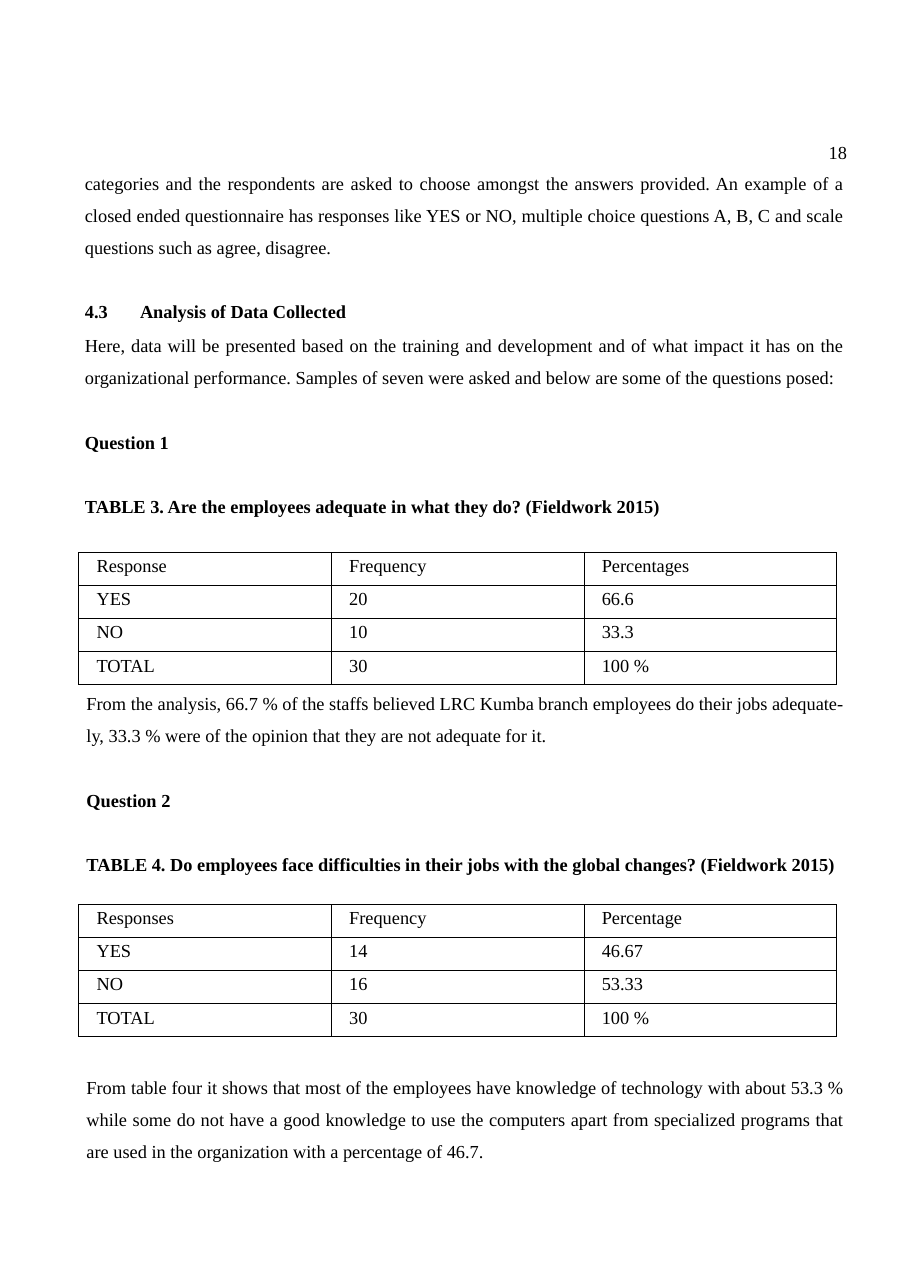
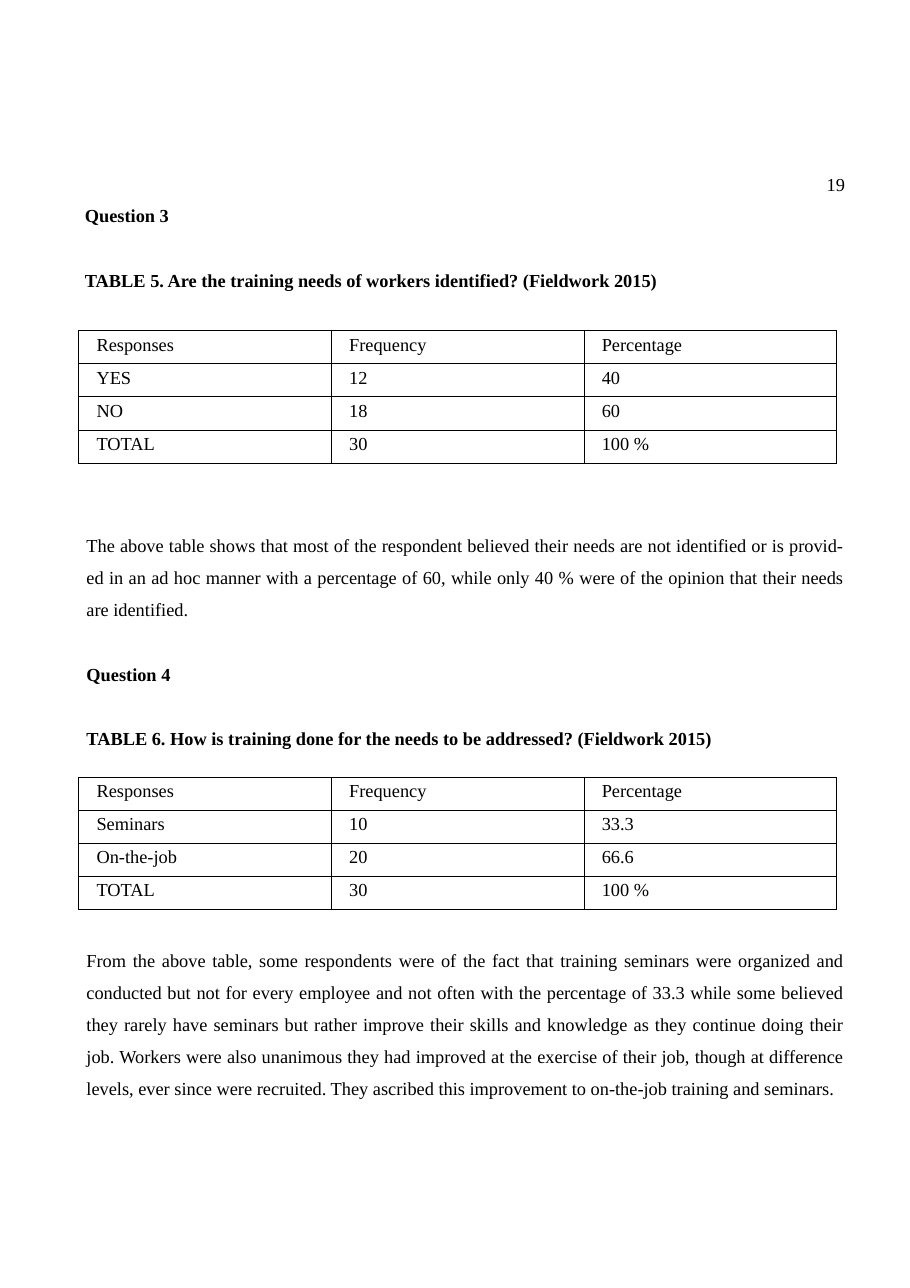
from dataclasses import dataclass

from lxml.etree import SubElement
from pptx import Presentation
from pptx.dml.color import RGBColor
from pptx.enum.text import MSO_ANCHOR, MSO_AUTO_SIZE, PP_ALIGN
from pptx.oxml.ns import qn
from pptx.util import Pt


@dataclass(frozen=True)
class Theme:
    """Colours, type and measures shared by every page, in points."""
    ink: RGBColor = RGBColor(0, 0, 0)
    paper: RGBColor = RGBColor(255, 255, 255)
    font: str = "Times New Roman"
    size: float = 12
    line: float = 20.8
    number_line: float = 13.8
    block_gap: float = 21.5
    left: float = 55.5
    right: float = 552.2
    indent: float = 1
    heading_tab: float = 29.5
    table_left: float = 51.3
    column: float = 165.1
    row: float = 21.6
    cell_left: float = 11.8
    cell_top: float = 2.7
    border: float = 0.28


class Report:
    """Holds the style and the current page."""

    def __init__(self, theme):
        self.theme = theme
        self.deck = Presentation()
        self.deck.slide_width = Pt(594.72)
        self.deck.slide_height = Pt(841.68)
        self.page = None

    def new_page(self, number, top, right):
        self.page = self.deck.slides.add_slide(self.deck.slide_layouts[1])
        fill = self.page.background.fill
        fill.solid()
        fill.fore_color.rgb = self.theme.paper
        box = self.page.shapes.add_textbox(0, 0, 0, 0)
        self.place(box, right - 60, top, 60, self.theme.number_line)
        para = box.text_frame.paragraphs[0]
        para.text = number
        para.alignment = PP_ALIGN.RIGHT
        self.style(para)

    def place(self, box, left, top, width, height):
        box.left, box.top, box.width, box.height = map(Pt, (left, top, width, height))
        frame = box.text_frame
        frame.margin_left = frame.margin_right = 0
        frame.margin_top = frame.margin_bottom = 0
        frame.word_wrap = True
        frame.auto_size = MSO_AUTO_SIZE.NONE
        frame.vertical_anchor = MSO_ANCHOR.TOP

    def style(self, para, bold=False):
        for span in para.runs:
            span.font.name = self.theme.font
            span.font.size = Pt(self.theme.size)
            span.font.color.rgb = self.theme.ink
            span.font.bold = bold

    def fill_box(self, box, top, blocks, lines, indent=0, align=PP_ALIGN.JUSTIFY):
        """Fill a box with (text, bold) blocks, one gap between blocks."""
        theme = self.theme
        left = theme.left + indent
        height = lines * theme.line + (len(blocks) - 1) * theme.block_gap
        self.place(box, left, top, theme.right - left, height)
        frame = box.text_frame
        frame.text = "\n".join(text for text, _ in blocks)
        for index, (para, (_, bold)) in enumerate(zip(frame.paragraphs, blocks)):
            para.alignment = PP_ALIGN.LEFT if bold else align
            para.line_spacing = Pt(theme.line)
            para.space_before = Pt(theme.block_gap if index else 0)
            para.space_after = Pt(0)
            properties = para._p.get_or_add_pPr()
            properties.set("marL", "0")
            properties.set("indent", "0")
            SubElement(properties, qn("a:buNone"))
            tabs = SubElement(properties, qn("a:tabLst"))
            SubElement(tabs, qn("a:tab"), pos=str(Pt(theme.heading_tab)), algn="l")
            self.style(para, bold)

    def title(self, text, top):
        self.fill_box(self.page.shapes.title, top, [(text, True)], 1)

    def body(self, top, blocks, lines, **options):
        self.fill_box(self.page.placeholders[1], top, blocks, lines, **options)

    def text(self, top, blocks, lines, **options):
        box = self.page.shapes.add_textbox(0, 0, 0, 0)
        self.fill_box(box, top, blocks, lines, **options)

    def table(self, top, rows):
        theme = self.theme
        count = len(rows[0])
        table = self.page.shapes.add_table(
            len(rows), count, Pt(theme.table_left), Pt(top),
            Pt(theme.column * count), Pt(theme.row * len(rows))).table
        table.first_row = table.horz_banding = False
        for column in table.columns:
            column.width = Pt(theme.column)
        for row, values in zip(table.rows, rows):
            row.height = Pt(theme.row)
            for cell, value in zip(row.cells, values):
                self.fill_cell(cell, value)

    def fill_cell(self, cell, value):
        theme = self.theme
        cell.text_frame.text = value
        cell.margin_left, cell.margin_top = Pt(theme.cell_left), Pt(theme.cell_top)
        cell.margin_right = cell.margin_bottom = 0
        cell.vertical_anchor = MSO_ANCHOR.TOP
        self.style(cell.text_frame.paragraphs[0])
        properties = cell._tc.get_or_add_tcPr()
        for side in ("lnL", "lnR", "lnT", "lnB"):
            line = SubElement(properties, qn(f"a:{side}"), w=str(Pt(theme.border)))
            solid = SubElement(line, qn("a:solidFill"))
            SubElement(solid, qn("a:srgbClr"), val=str(theme.ink))
        cell.fill.background()


def build_page_18(report):
    indent = report.theme.indent
    report.new_page("18", 92.2, 553.5)

    # End of the section on questionnaires
    report.text(106, [(
        "categories and the respondents are asked to choose amongst the answers "
        "provided. An example of a closed ended questionnaire has responses like "
        "YES or NO, multiple choice questions A, B, C and scale questions such as "
        "agree, disagree.", False)], 3)

    # Section heading and first question
    report.title("4.3\tAnalysis of Data Collected", 190)
    report.body(212, [
        ("Here, data will be presented based on the training and development and "
         "of what impact it has on the organizational performance. Samples of "
         "seven were asked and below are some of the questions posed:", False),
        ("Question 1", True),
        ("TABLE 3. Are the employees adequate in what they do? (Fieldwork 2015)", True),
    ], 4)
    report.table(361, [
        ("Response", "Frequency", "Percentages"),
        ("YES", "20", "66.6"),
        ("NO", "10", "33.3"),
        ("TOTAL", "30", "100 %"),
    ])

    # Second question
    report.text(446, [
        ("From the analysis, 66.7 % of the staffs believed LRC Kumba branch "
         "employees do their jobs adequate- ly, 33.3 % were of the opinion that "
         "they are not adequate for it.", False),
        ("Question 2", True),
        ("TABLE 4. Do employees face difficulties in their jobs with the global "
         "changes? (Fieldwork 2015)", True),
    ], 4, indent=indent, align=PP_ALIGN.LEFT)
    report.table(591, [
        ("Responses", "Frequency", "Percentage"),
        ("YES", "14", "46.67"),
        ("NO", "16", "53.33"),
        ("TOTAL", "30", "100 %"),
    ])
    report.text(697, [(
        "From table four it shows that most of the employees have knowledge of "
        "technology with about 53.3 % while some do not have a good knowledge to "
        "use the computers apart from specialized programs that are used in the "
        "organization with a percentage of 46.7.", False)], 3, indent=indent)


def build_page_19(report):
    indent = report.theme.indent
    report.new_page("19", 113, 552.2)

    # Third question
    report.title("Question 3", 127.2)
    report.text(169.7, [(
        "TABLE 5. Are the training needs of workers identified? (Fieldwork 2015)",
        True)], 1)
    report.table(216, [
        ("Responses", "Frequency", "Percentage"),
        ("YES", "12", "40"),
        ("NO", "18", "60"),
        ("TOTAL", "30", "100 %"),
    ])

    # Fourth question
    report.body(342.8, [
        ("The above table shows that most of the respondent believed their needs "
         "are not identified or is provid- ed in an ad hoc manner with a "
         "percentage of 60, while only 40 % were of the opinion that their needs "
         "are identified.", False),
        ("Question 4", True),
        ("TABLE 6. How is training done for the needs to be addressed? "
         "(Fieldwork 2015)", True),
    ], 5, indent=indent)
    report.table(508, [
        ("Responses", "Frequency", "Percentage"),
        ("Seminars", "10", "33.3"),
        ("On-the-job", "20", "66.6"),
        ("TOTAL", "30", "100 %"),
    ])
    report.text(614, [(
        "From the above table, some respondents were of the fact that training "
        "seminars were organized and conducted but not for every employee and not "
        "often with the percentage of 33.3 while some believed they rarely have "
        "seminars but rather improve their skills and knowledge as they continue "
        "doing their job. Workers were also unanimous they had improved at the "
        "exercise of their job, though at difference levels, ever since were "
        "recruited. They ascribed this improvement to on-the-job training and "
        "seminars.", False)], 5, indent=indent)


def main():
    report = Report(Theme())
    build_page_18(report)
    build_page_19(report)
    report.deck.save("out.pptx")


if __name__ == "__main__":
    main()
